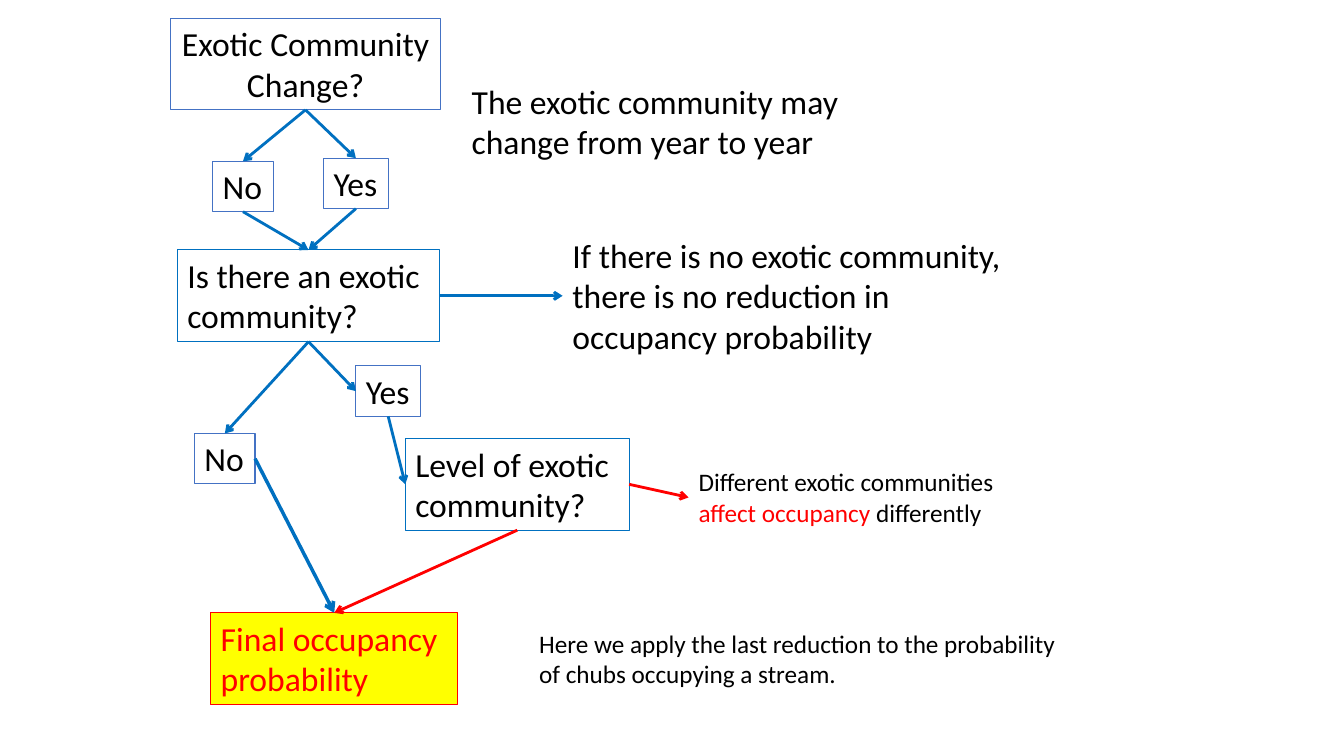
import pptx
import pptx.util
import pptx.dml.color
import pptx.enum.shapes
import pptx.enum.text
import lxml.etree
from pptx.util import Inches, Pt

BLUE, PALE, RED, YELLOW, BLACK = "0070C0", "4472C4", "FF0000", "FFFF00", "000000"
TOP, LEFT, BOTTOM, RIGHT = range(4)


def paint(color, value):
    """Make a fill or line solid, or set a font colour."""
    if hasattr(color, "solid"):
        color.solid()
        color = color.fore_color
    elif hasattr(color, "color"):
        color = color.color
    color.rgb = pptx.dml.color.RGBColor.from_string(value)


def add_text(slide, place, lines, size=24, color=BLACK, wrap=True):
    """Add a text box; each line is a string or a list of (text, colour) runs."""
    shape = slide.shapes.add_textbox(*[Inches(n) for n in place])
    frame = shape.text_frame
    frame.word_wrap = wrap
    frame.auto_size = pptx.enum.text.MSO_AUTO_SIZE.SHAPE_TO_FIT_TEXT
    for i, line in enumerate(lines):
        para = frame.add_paragraph() if i else frame.paragraphs[0]
        para.font.name = "Calibri"
        para.font.size = Pt(size)
        if isinstance(line, str):
            para.add_run().text = line
            paint(para.font, color)
            for run in para.runs:
                paint(run.font, color)
        else:
            for text, shade in line:
                run = para.add_run()
                run.text = text
                paint(run.font, shade)
    return shape


def add_box(slide, place, lines, line=BLUE, color=BLACK, fill=None):
    box = add_text(slide, place, lines, color=color, wrap=False)
    paint(box.line.fill, line)
    box.line.width = Pt(0.75)
    if fill:
        paint(box.fill, fill)
    return box


def add_arrow(slide, start, side, end, goal, color=BLUE, width=2):
    """Join a side of one shape to a side of another."""
    arrow = slide.shapes.add_connector(
        pptx.enum.shapes.MSO_CONNECTOR.STRAIGHT, 0, 0, 0, 0)
    arrow.begin_connect(start, side)
    arrow.end_connect(end, goal)
    paint(arrow.line.fill, color)
    arrow.line.width = Pt(width)
    tail = pptx.oxml.ns.qn("a:tailEnd")
    lxml.etree.SubElement(arrow.line._get_or_add_ln(), tail, type="arrow")
    props = arrow._element.spPr
    lxml.etree.SubElement(props, pptx.oxml.ns.qn("a:effectLst"))


def main():
    deck = pptx.Presentation()
    deck.slide_width, deck.slide_height = Inches(13.33), Inches(7.5)
    slide = deck.slides.add_slide(deck.slide_layouts[6])

    change = add_box(slide, (1.69, 0.18, 2.68, 0.91),
                     ["Exotic Community", "Change?"], PALE)
    for para in change.text_frame.paragraphs:
        para.alignment = pptx.enum.text.PP_ALIGN.CENTER
    yes = add_box(slide, (3.21, 1.57, 0.64, 0.5), ["Yes"], PALE)
    no = add_box(slide, (2.11, 1.6, 0.6, 0.5), ["No"], PALE)
    exists = add_box(slide, (1.76, 2.48, 2.6, 0.91),
                     ["Is there an exotic", "community?"])
    absent = add_box(slide, (1.93, 4.3, 0.6, 0.5), ["No"], PALE)
    present = add_box(slide, (3.53, 3.63, 0.64, 0.5), ["Yes"], PALE)
    level = add_box(slide, (4.02, 4.35, 2.22, 0.91),
                    ["Level of exotic", "community?"])
    final = add_box(slide, (2.09, 6.08, 2.45, 0.91),
                    ["Final occupancy", "probability"], RED, RED, YELLOW)

    add_text(slide, (4.58, 0.75, 4.83, 0.91),
             ["The exotic community may change from year to year"])
    same = add_text(slide, (5.58, 2.28, 4.67, 1.31), [
        "If there is no exotic community, there is no reduction in "
        "occupancy probability"])
    differ = add_text(slide, (6.83, 4.58, 3.58, 0.71), [[
        ("Different exotic communities ", BLACK),
        ("affect occupancy ", RED), ("differently", BLACK)]], 18)
    add_text(slide, (5.25, 6.18, 5.33, 0.71), [
        "Here we apply the last reduction to the probability of chubs "
        "occupying a stream."], 18)

    for answer in (no, yes):
        add_arrow(slide, change, BOTTOM, answer, TOP)
        add_arrow(slide, answer, BOTTOM, exists, TOP)
    add_arrow(slide, exists, RIGHT, same, LEFT)
    add_arrow(slide, exists, BOTTOM, absent, TOP)
    add_arrow(slide, exists, BOTTOM, present, LEFT)
    add_arrow(slide, present, BOTTOM, level, LEFT)
    add_arrow(slide, absent, RIGHT, final, TOP, width=2.5)
    add_arrow(slide, level, BOTTOM, final, TOP, RED)
    add_arrow(slide, level, RIGHT, differ, LEFT, RED)

    deck.save("out.pptx")


if __name__ == "__main__":
    main()
